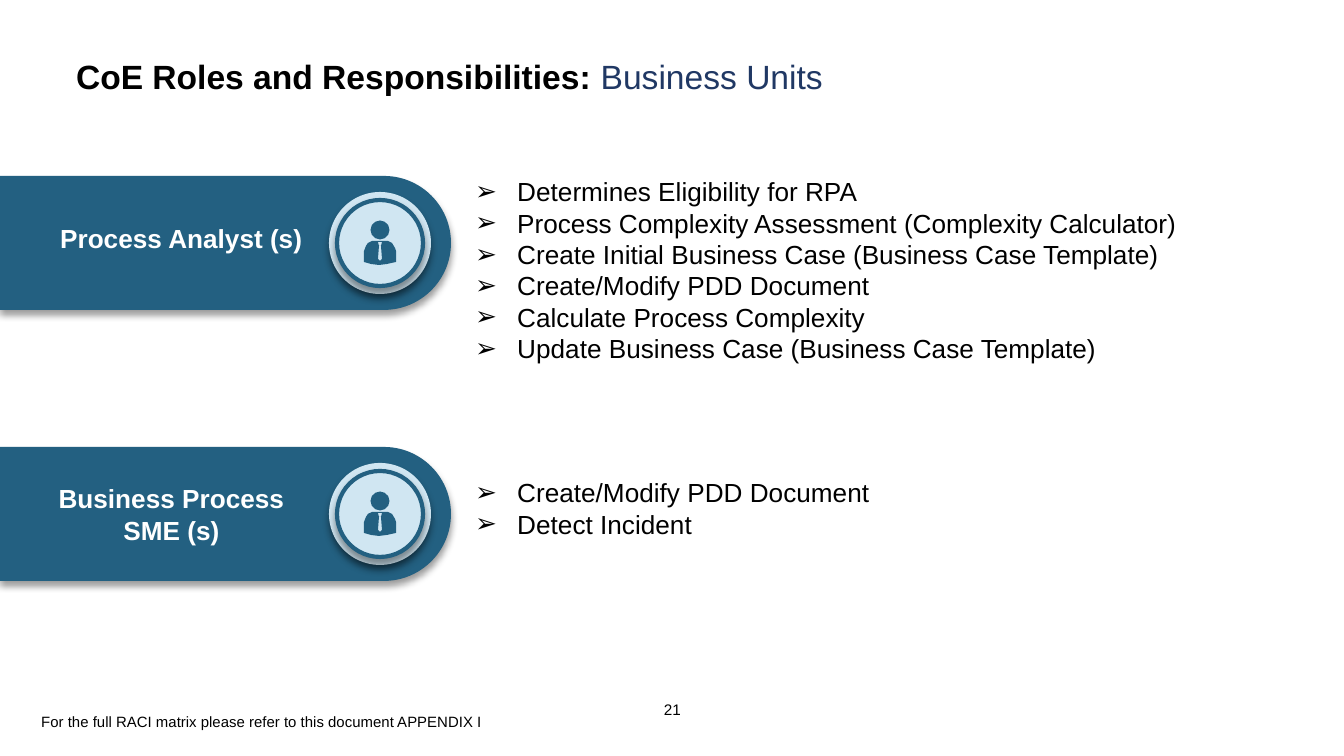
from pptx import Presentation
from pptx import util as u
from pptx.dml.color import RGBColor
from pptx.enum import shapes, text
from pptx.oxml import parse_xml
from pptx.oxml.ns import nsdecls

PX = 914400 / 134.4  # EMU in one px
BLACK, WHITE, NAVY = "000000", "FFFFFF", "203864"
TEAL, PALE = "236081", "D0E6F2"

# Icon outlines, in px from the centre of the badge
TORSO = [(-5, -2), (3, -2), (8, -2), (12, 0), (15, 5), (16, 8), (16, 19), (7, 21),
         (-1, 22), (-9, 21), (-16, 19), (-16, 8), (-14, 3), (-12, 0), (-8, -2)]
TIE_KNOT = [(-2, -1), (-1, 3), (1, 3), (2, -1)]
TIE_BLADE = [(-1, 3), (-2, 16), (0, 18), (2, 16), (1, 3)]


def px(value):
    return u.Emu(round(value * PX))


def color(value):
    return RGBColor.from_string(value)


class SlideBuilder:
    font_name = "Arial"
    bullet = "➢"
    bullet_indent = 42

    def __init__(self, slide):
        self.slide = slide

    def text(self, lines, left, top, width, height, size=14, fill=BLACK, bold=False,
             align=None, wrap=True, margin=None, bullets=False):
        box = self.slide.shapes.add_textbox(px(left), px(top), px(width), px(height))
        frame = box.text_frame
        frame.word_wrap = wrap
        frame.auto_size = text.MSO_AUTO_SIZE.SHAPE_TO_FIT_TEXT
        if margin is not None:
            frame.margin_left = frame.margin_right = px(margin)
            frame.margin_top = frame.margin_bottom = px(margin)
        for index, line in enumerate(lines):
            paragraph = frame.add_paragraph() if index else frame.paragraphs[0]
            paragraph.text = line
            if bullets:
                self.add_bullet(paragraph)
            if align is not None:
                paragraph.alignment = align
            font = paragraph.font
            font.name, font.size, font.bold = self.font_name, u.Pt(size), bold
            font.color.rgb = color(fill)
        return box

    def add_bullet(self, paragraph):
        properties = paragraph._p.get_or_add_pPr()
        indent = px(self.bullet_indent)
        properties.set("marL", str(indent))
        properties.set("indent", str(-indent))
        for xml in (
            f'<a:buClr {nsdecls("a")}><a:srgbClr val="{BLACK}"/></a:buClr>',
            f'<a:buFont {nsdecls("a")} typeface="{self.font_name}"/>',
            f'<a:buChar {nsdecls("a")} char="{self.bullet}"/>',
        ):
            properties.append(parse_xml(xml))

    def shape(self, kind, left, top, width, height, fill, line=None, shadow=True):
        shape = self.slide.shapes.add_shape(kind, px(left), px(top), px(width), px(height))
        self.paint(shape, fill, line)
        if shadow:
            self.add_shadow(shape)
        return shape

    def paint(self, shape, fill, line=None):
        shape.shadow.inherit = False
        shape.fill.solid()
        shape.fill.fore_color.rgb = color(fill)
        if line:
            shape.line.color.rgb = color(line)
            shape.line.width = u.Pt(2.25)
        else:
            shape.line.fill.background()

    def add_shadow(self, shape):
        effects = shape._element.spPr.find(
            "{http://schemas.openxmlformats.org/drawingml/2006/main}effectLst")
        effects.append(parse_xml(
            f'<a:outerShdw {nsdecls("a")} blurRad="{u.Pt(4)}" dist="{u.Pt(3)}" '
            f'dir="5400000" algn="t" rotWithShape="0"><a:srgbClr val="{BLACK}">'
            '<a:alpha val="40000"/></a:srgbClr></a:outerShdw>'))

    def circle(self, x, y, size, fill, line=None, shadow=True):
        return self.shape(shapes.MSO_SHAPE.OVAL, x - size / 2, y - size / 2,
                          size, size, fill, line, shadow)

    def outline(self, contours, x, y, fill):
        contours = [[(x + dx, y + dy) for dx, dy in contour] for contour in contours]
        builder = self.slide.shapes.build_freeform(*contours[0][0], scale=PX)
        for index, contour in enumerate(contours):
            if index:
                builder.move_to(*contour[0])
            builder.add_line_segments(contour[1:], close=True)
        self.paint(builder.convert_to_shape(), fill)

    def banner(self, y, length=451, thickness=134):
        # A bar turned a quarter so that its round end points right
        bar = self.shape(shapes.MSO_SHAPE.ROUND_2_SAME_RECTANGLE,
                         (length - thickness) / 2, y - length / 2,
                         thickness, length, TEAL)
        bar.adjustments[0], bar.adjustments[1] = 0.5, 0
        bar.rotation = 90

    def badge(self, x, y):
        self.circle(x, y, 102, PALE)
        self.circle(x, y, 86, PALE, line=TEAL)
        self.circle(x, y - 13, 19, TEAL, shadow=False)
        self.outline([TORSO, TIE_KNOT, TIE_BLADE], x, y, TEAL)


def main():
    presentation = Presentation()
    presentation.slide_width, presentation.slide_height = px(1344), px(756)
    slide = presentation.slides.add_slide(presentation.slide_layouts[6])
    builder = SlideBuilder(slide)

    # Title in two colours
    title = builder.text(["CoE Roles and Responsibilities: "], 63, 43, 1214, 67,
                         size=18, bold=True, margin=13)
    unit = title.text_frame.paragraphs[0].add_run()
    unit.text = "Business Units"
    unit.font.bold = False
    unit.font.color.rgb = color(NAVY)

    # Role banners
    for y in (243, 514):
        builder.banner(y)
        builder.badge(380, y)
    builder.text(["Process Analyst (s)"], 47, 216, 271, 46,
                 fill=WHITE, bold=True, wrap=False)
    builder.text(["Business Process SME (s)"], 40, 476, 263, 77,
                 fill=WHITE, bold=True, align=text.PP_ALIGN.CENTER)

    # Responsibilities
    builder.text([
        "Determines Eligibility for RPA",
        "Process Complexity Assessment (Complexity Calculator)",
        "Create Initial Business Case (Business Case Template)",
        "Create/Modify PDD Document",
        "Calculate Process Complexity",
        "Update Business Case (Business Case Template)",
    ], 462, 169, 836, 203, bullets=True)
    builder.text(["Create/Modify PDD Document", "Detect Incident"],
                 462, 470, 836, 77, bullets=True)

    # Footer
    builder.text(["For the full RACI matrix please refer to this document APPENDIX I"],
                 28, 706, 520, 32, size=8)
    builder.text(["21"], 664, 700, 27, 19, size=8.2, wrap=False, margin=0)

    presentation.save("out.pptx")


if __name__ == "__main__":
    main()
